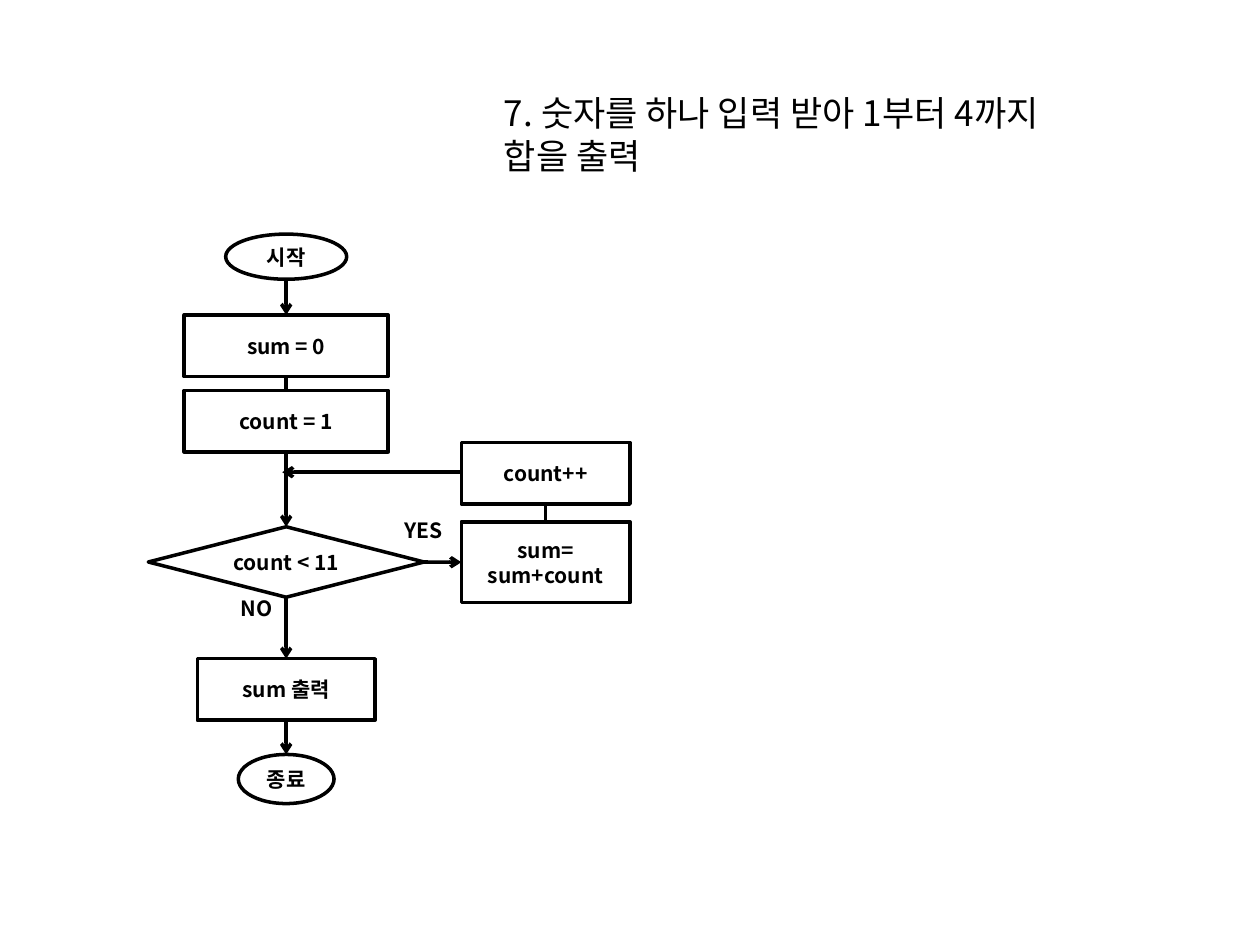
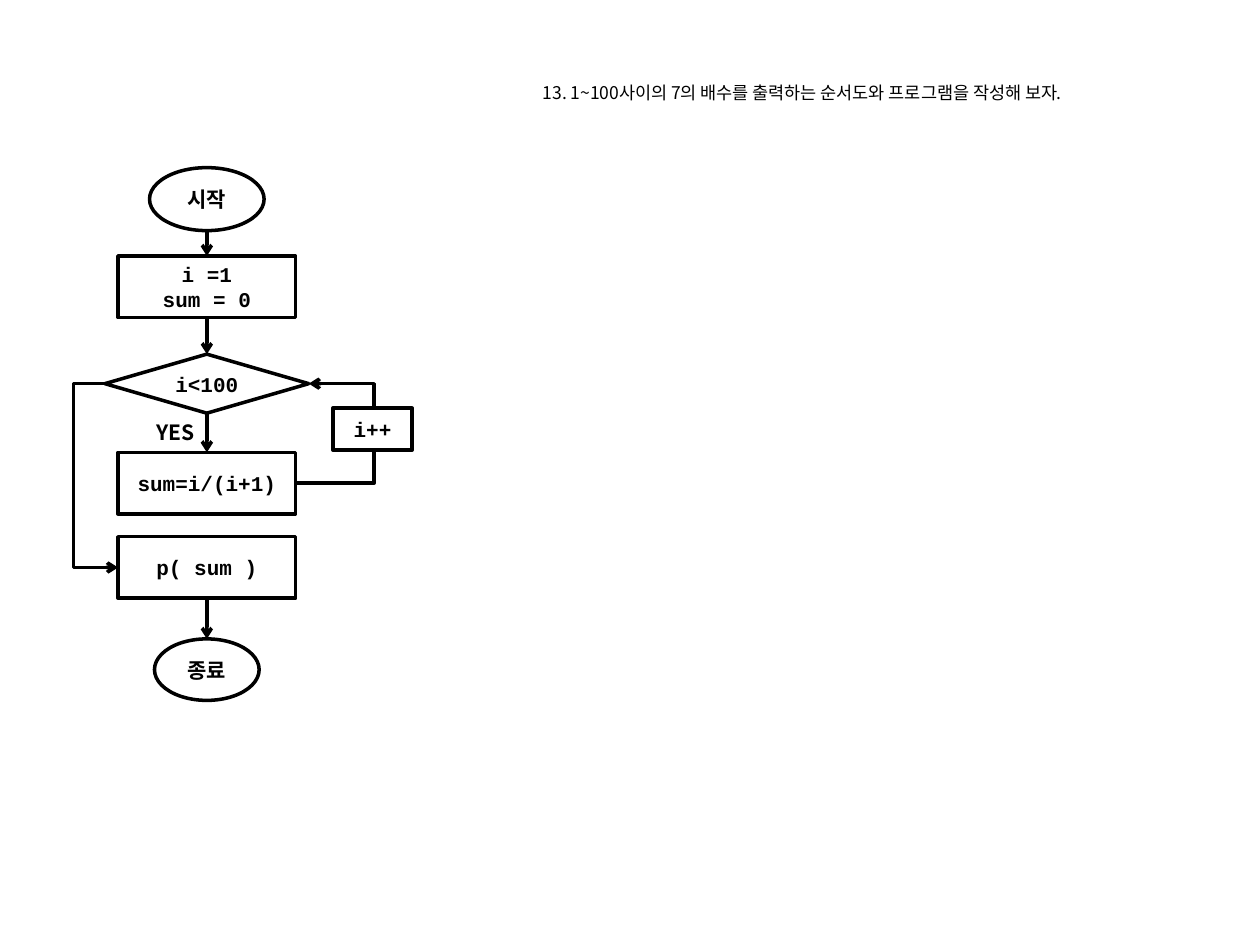
from dataclasses import dataclass

from lxml import etree
from pptx import Presentation
from pptx.dml.color import RGBColor
from pptx.enum.shapes import MSO_CONNECTOR, MSO_SHAPE
from pptx.enum.text import MSO_ANCHOR, PP_ALIGN
from pptx.oxml.ns import qn
from pptx.util import Cm, Pt

TERMINAL = MSO_SHAPE.OVAL
PROCESS = MSO_SHAPE.FLOWCHART_PROCESS
DECISION = MSO_SHAPE.FLOWCHART_DECISION
STRAIGHT = MSO_CONNECTOR.STRAIGHT
ELBOW = MSO_CONNECTOR.ELBOW
CENTER = PP_ALIGN.CENTER
LEFT = PP_ALIGN.LEFT
MIDDLE = MSO_ANCHOR.MIDDLE


@dataclass(frozen=True)
class Theme:
    ink: RGBColor = RGBColor(0, 0, 0)
    paper: RGBColor = RGBColor(255, 255, 255)
    korean_font: str = "Noto Sans CJK KR"
    code_font: str = "Courier New"
    chart_size: float = 12
    large_title_size: float = 20
    small_title_size: float = 10
    line_width: float = 2


THEME = Theme()


# Flowchart parts; all lengths are in centimetres
@dataclass(frozen=True)
class Node:
    kind: int
    text: str
    center: float
    top: float
    width: float
    height: float
    filled: bool = False

    @property
    def bottom(self) -> float:
        return self.top + self.height

    @property
    def left(self) -> float:
        return self.center - self.width / 2

    @property
    def right(self) -> float:
        return self.center + self.width / 2

    @property
    def middle(self) -> float:
        return self.top + self.height / 2


@dataclass(frozen=True)
class Label:
    text: str
    left: float
    top: float
    width: float
    height: float = 0.76
    size: float = THEME.chart_size
    bold: bool = True


# Drawing functions
def format_text(text_frame, text: str, size: float, bold: bool, font: str, alignment) -> None:
    text_frame.word_wrap = True
    text_frame.text = text
    for paragraph in text_frame.paragraphs:
        paragraph.alignment = alignment
        for run in paragraph.runs:
            run.font.name = font
            run.font.size = Pt(size)
            run.font.bold = bold
            run.font.color.rgb = THEME.ink
            east_asian = etree.SubElement(run._r.get_or_add_rPr(), qn("a:ea"))
            east_asian.set("typeface", THEME.korean_font)


def style_line(line) -> None:
    line.color.rgb = THEME.ink
    line.width = Pt(THEME.line_width)


def draw_node(slide, node: Node, font: str) -> None:
    shape = slide.shapes.add_shape(
        node.kind, Cm(node.left), Cm(node.top), Cm(node.width), Cm(node.height))
    shape.shadow.inherit = False
    if node.filled:
        shape.fill.solid()
        shape.fill.fore_color.rgb = THEME.paper
    else:
        shape.fill.background()
    style_line(shape.line)
    shape.text_frame.vertical_anchor = MIDDLE
    format_text(shape.text_frame, node.text, THEME.chart_size, True, font, CENTER)


def draw_label(slide, label: Label) -> None:
    box = slide.shapes.add_textbox(
        Cm(label.left), Cm(label.top), Cm(label.width), Cm(label.height))
    format_text(box.text_frame, label.text, label.size, label.bold, THEME.korean_font, LEFT)


def draw_connector(slide, kind, start: tuple[float, float], end: tuple[float, float],
                   arrow_end: str = "a:tailEnd"):
    connector = slide.shapes.add_connector(
        kind, Cm(start[0]), Cm(start[1]), Cm(end[0]), Cm(end[1]))
    style_line(connector.line)
    etree.SubElement(connector.line._get_or_add_ln(), qn(arrow_end)).set("type", "arrow")
    etree.SubElement(connector._element.spPr, qn("a:effectLst"))
    return connector


def draw_down_arrow(slide, upper: Node, lower: Node) -> None:
    draw_connector(slide, STRAIGHT, (upper.center, upper.bottom), (upper.center, lower.top))


def draw_detour(slide, start: tuple[float, float], end: tuple[float, float],
                bend: float) -> None:
    """Leave sideways, run vertically at the bend and come back to the end."""
    connector = draw_connector(slide, ELBOW, start, end)
    ratio = (bend - start[0]) / (end[0] - start[0])
    adjustments = connector._element.spPr.find(qn("a:prstGeom")).get_or_add_avLst()
    guide = etree.SubElement(adjustments, qn("a:gd"))
    guide.set("name", "adj1")
    guide.set("fmla", f"val {round(ratio * 100000)}")


def draw_corner(slide, arrow_tip: tuple[float, float], source: tuple[float, float]) -> None:
    """Run up from the source, then sideways to the arrow tip."""
    connector = draw_connector(slide, ELBOW, arrow_tip, source, "a:headEnd")
    connector._element.spPr.find(qn("a:prstGeom")).set("prst", "bentConnector2")


def draw_contents(slide, nodes: list[Node], labels: list[Label], font: str) -> None:
    for node in nodes:
        draw_node(slide, node, font)
    for label in labels:
        draw_label(slide, label)


# Sum with a counter
def build_sum_slide(slide) -> None:
    spine, side = 5.77, 11.0
    start = Node(TERMINAL, "시작", spine, 4.72, 2.44, 0.91)
    set_sum = Node(PROCESS, "sum = 0", spine, 6.35, 4.11, 1.24)
    set_count = Node(PROCESS, "count = 1", spine, 7.87, 4.11, 1.24, filled=True)
    test = Node(DECISION, "count < 11", spine, 10.62, 5.56, 1.42)
    output = Node(PROCESS, "sum 출력", spine, 13.28, 3.58, 1.24)
    stop = Node(TERMINAL, "종료", spine, 15.21, 1.93, 0.99)
    add = Node(PROCESS, "sum=\nsum+count", side, 10.52, 3.4, 1.63)
    increment = Node(PROCESS, "count++", side, 8.92, 3.4, 1.24, filled=True)

    for upper, lower in [(start, set_sum), (set_sum, test), (test, output), (output, stop)]:
        draw_down_arrow(slide, upper, lower)
    draw_connector(slide, STRAIGHT, (test.right, test.middle), (add.left, add.middle))
    draw_corner(slide, (5.69, 9.52), (side, add.top))

    labels = [
        Label("7. 숫자를 하나 입력 받아 1부터 4까지 합을 출력", 9.91, 1.73, 12.7, 1.96,
              THEME.large_title_size, bold=False),
        Label("YES", 7.9, 10.31, 1.57),
        Label("NO", 4.6, 11.89, 1.78),
    ]
    nodes = [start, set_sum, set_count, test, output, stop, add, increment]
    draw_contents(slide, nodes, labels, THEME.korean_font)


# Loop up to one hundred
def build_loop_slide(slide) -> None:
    spine, side = 4.17, 7.51
    start = Node(TERMINAL, "시작", spine, 3.38, 2.31, 1.27)
    setup = Node(PROCESS, "i =1\nsum = 0", spine, 5.16, 3.58, 1.24)
    test = Node(DECISION, "i<100", spine, 7.14, 4.11, 1.19)
    body = Node(PROCESS, "sum=i/(i+1)", spine, 9.12, 3.58, 1.24)
    output = Node(PROCESS, "p( sum )", spine, 10.82, 3.58, 1.24)
    stop = Node(TERMINAL, "종료", spine, 12.88, 2.11, 1.24)
    increment = Node(PROCESS, "i++", side, 8.23, 1.6, 0.84, filled=True)

    for upper, lower in [(start, setup), (setup, test), (test, body), (output, stop)]:
        draw_down_arrow(slide, upper, lower)
    draw_detour(slide, (body.right, body.middle), (test.right, test.middle), 7.54)
    draw_detour(slide, (test.left, test.middle), (output.left, output.middle), 1.48)

    labels = [
        Label("13. 1~100사이의 7의 배수를 출력하는 순서도와 프로그램을 작성해 보자.",
              10.69, 1.52, 12.7, 0.69, THEME.small_title_size, bold=False),
        Label("YES", 2.9, 8.33, 1.57),
    ]
    nodes = [start, setup, test, body, output, stop, increment]
    draw_contents(slide, nodes, labels, THEME.code_font)


# Presentation
def main() -> None:
    presentation = Presentation()
    presentation.slide_width = Cm(25.4)
    presentation.slide_height = Cm(19.05)
    blank_layout = presentation.slide_layouts[6]
    for build in (build_sum_slide, build_loop_slide):
        build(presentation.slides.add_slide(blank_layout))
    presentation.save("out.pptx")


main()
